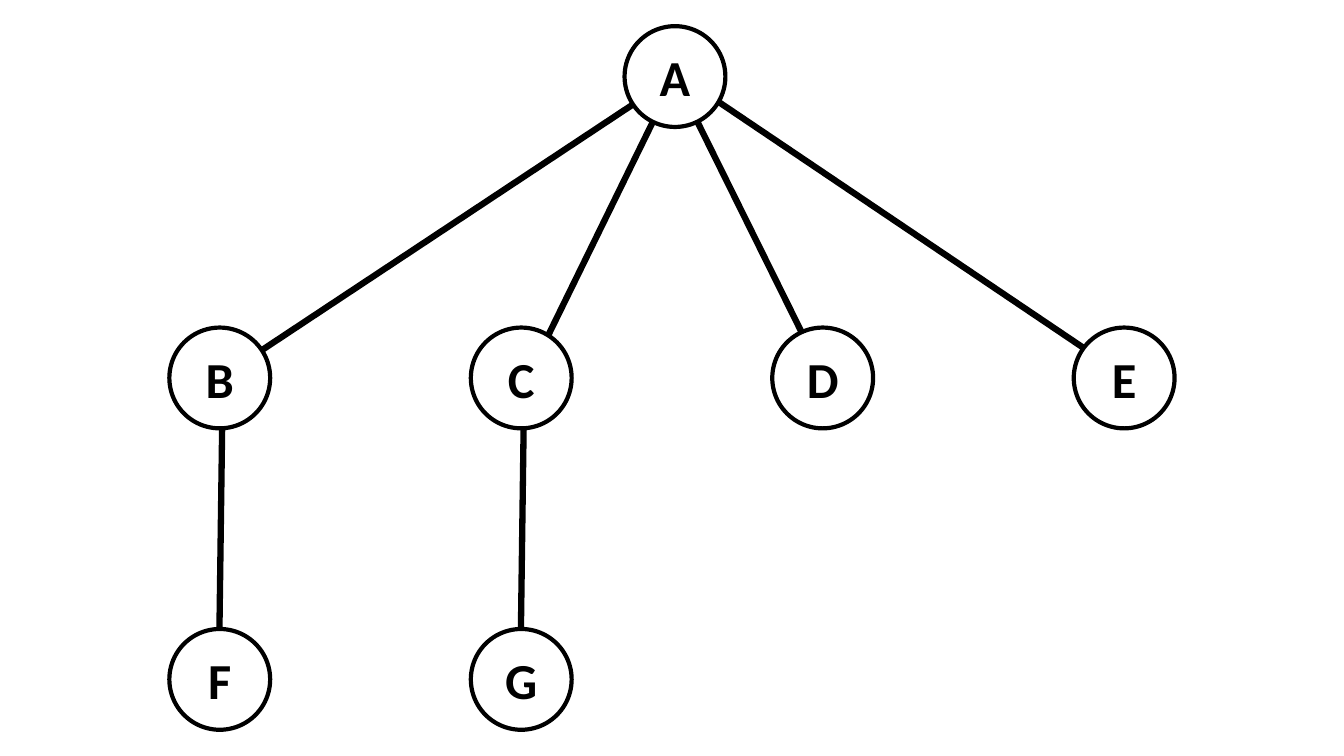
import pptx
import pptx.util
from pptx.dml.color import RGBColor
from pptx.enum.shapes import MSO_CONNECTOR, MSO_SHAPE
from pptx.enum.text import MSO_ANCHOR, PP_ALIGN
from pptx.oxml.ns import qn
from lxml import etree

Inches, Pt = pptx.util.Inches, pptx.util.Pt

COLORS = {"ink": "000000", "paper": "FFFFFF"}
DIAMETER = 1
PITCH = 2.99

# Node letter: (column, row) in pitches
NODES = {
    "A": (1.51, 0),
    "B": (0, 1), "C": (1, 1), "D": (2, 1), "E": (3, 1),
    "F": (0, 2), "G": (1, 2),
}

# Child, parent, and how far each end sits from the node's centre
EDGES = [
    ("G", "C", (-0.01, 0), (0.03, 0)),
    ("F", "B", (-0.01, 0), (0.03, 0)),
    ("B", "A", (0, 0), (0, 0)),
    ("D", "A", (0.06, 0.09), (0, 0)),
    ("E", "A", (0.04, 0), (0, -0.04)),
    ("C", "A", (0.06, 0), (0, 0)),
]


def color(name):
    return RGBColor.from_string(COLORS[name])


def add_edge(slide, start, end):
    edge = slide.shapes.add_connector(
        MSO_CONNECTOR.STRAIGHT, *(Inches(v) for v in (*start, *end)))
    edge.line.color.rgb = color("ink")
    edge.line.width = Pt(4.5)
    etree.SubElement(edge._element.spPr, qn("a:effectLst"))


def add_node(slide, letter, center):
    x, y = center
    node = slide.shapes.add_shape(
        MSO_SHAPE.OVAL, Inches(x - DIAMETER / 2), Inches(y - DIAMETER / 2),
        Inches(DIAMETER), Inches(DIAMETER))
    node.shadow.inherit = False
    node.fill.solid()
    node.fill.fore_color.rgb = color("paper")
    node.line.color.rgb = color("ink")
    node.line.width = Pt(3)
    node.text_frame.vertical_anchor = MSO_ANCHOR.MIDDLE
    label = node.text_frame.paragraphs[0]
    label.text = letter
    label.alignment = PP_ALIGN.CENTER
    label.font.name = "Calibri"
    label.font.size = Pt(36)
    label.font.bold = True
    label.font.color.rgb = color("ink")


def add_tree(slide, left, top):
    centers = {
        letter: (left + column * PITCH + DIAMETER / 2,
                 top + row * PITCH + DIAMETER / 2)
        for letter, (column, row) in NODES.items()
    }

    # Edges lie behind the nodes
    for child, parent, child_shift, parent_shift in EDGES:
        start = [c + s for c, s in zip(centers[child], child_shift)]
        end = [c + s for c, s in zip(centers[parent], parent_shift)]
        add_edge(slide, start, end)

    # Nodes
    for letter, center in centers.items():
        add_node(slide, letter, center)


def main():
    deck = pptx.Presentation()
    deck.slide_width = Inches(13.33)
    deck.slide_height = Inches(7.5)
    slide = deck.slides.add_slide(deck.slide_layouts[6])
    add_tree(slide, 1.68, 0.26)
    deck.save("out.pptx")


if __name__ == "__main__":
    main()
